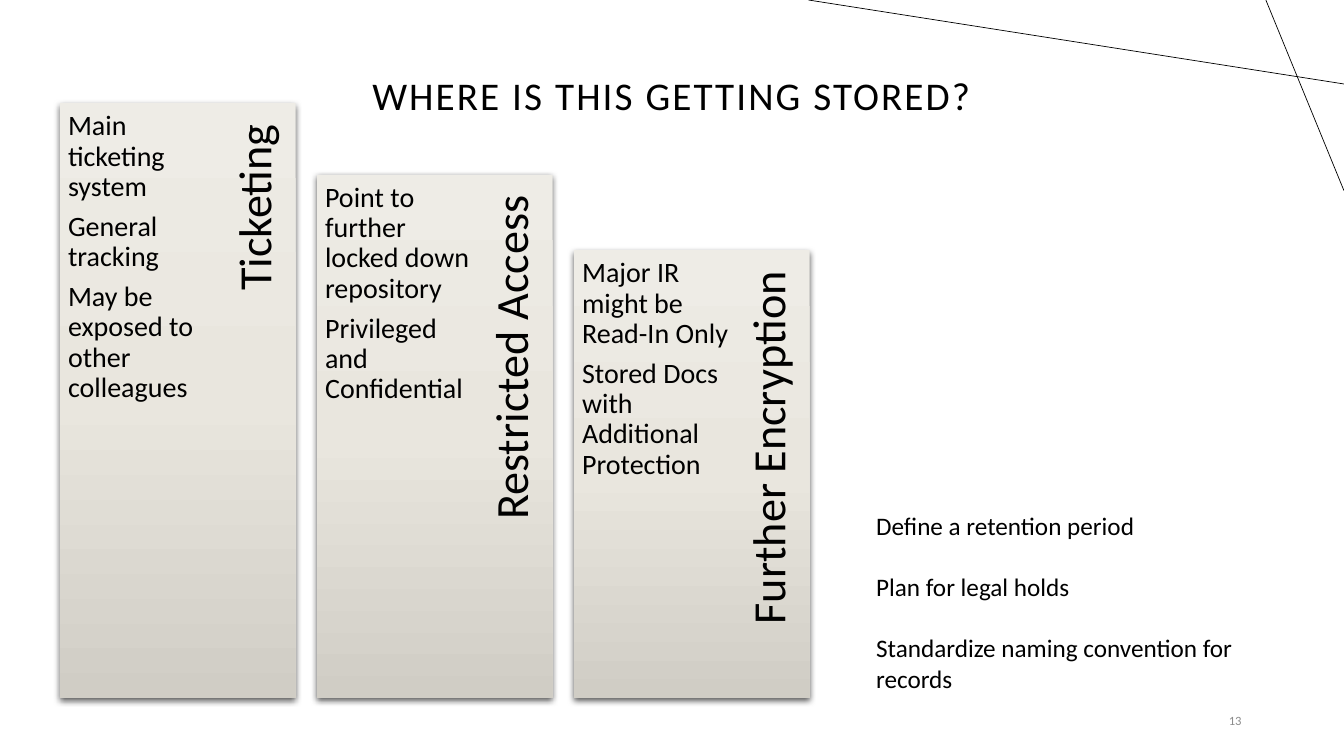
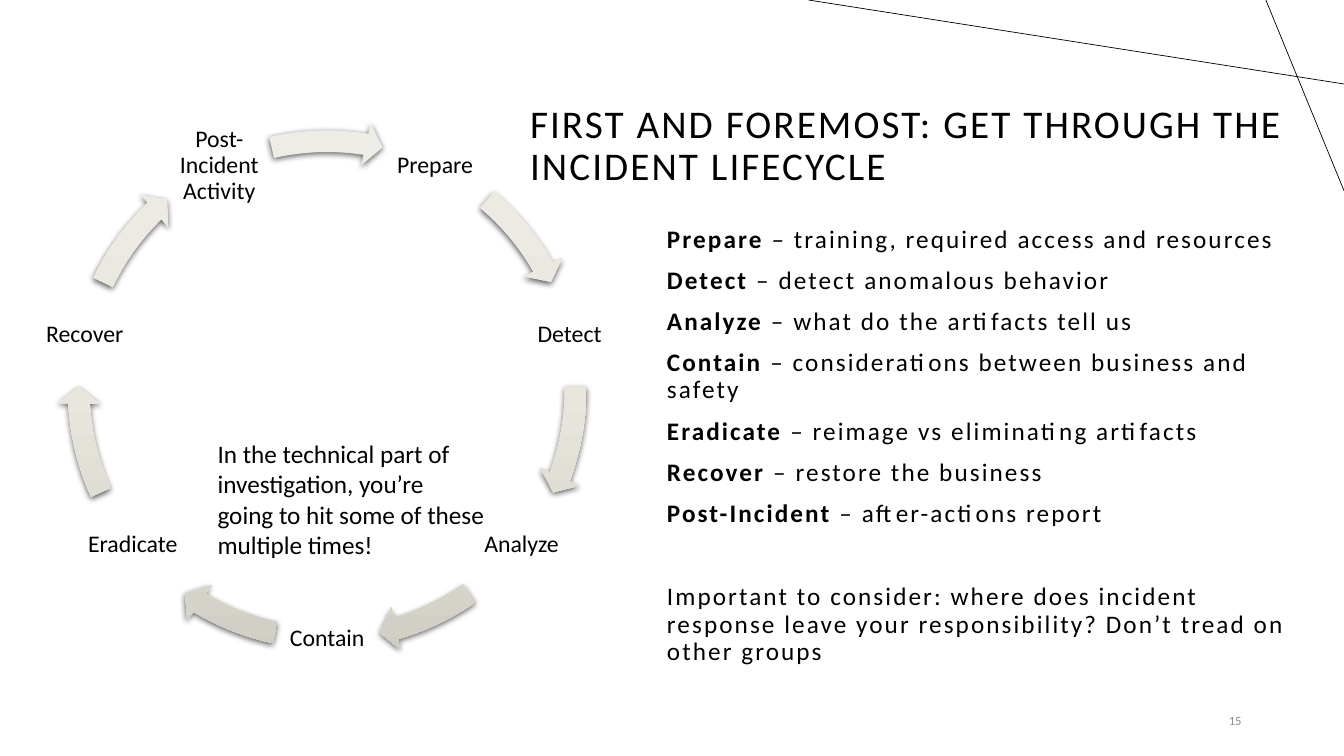
from copy import deepcopy
from dataclasses import dataclass
from math import cos, radians, sin

from lxml.etree import SubElement
from pptx import Presentation
from pptx.dml.color import RGBColor
from pptx.enum.shapes import MSO_CONNECTOR, MSO_SHAPE
from pptx.enum.text import MSO_ANCHOR, PP_ALIGN
from pptx.oxml.ns import qn
from pptx.util import Inches, Pt


@dataclass(frozen=True)
class Theme:
    font: str = "Calibri"
    ink: str = "000000"
    muted: str = "8C8C8C"
    gradient: tuple = ((0, "EEECE6"), (0.5, "E9E6DE"), (1, "D0CDC5"))
    title: int = 28
    heading: int = 33
    detail: int = 20
    body: int = 18
    label: int = 17
    number: int = 9
    tracking: int = 150
    tight: float = 0.9


theme = Theme()
prs = Presentation()
prs.slide_width, prs.slide_height = Inches(13.333), Inches(7.5)
COLS, ROWS = 160, 90
col, row = prs.slide_width / COLS, prs.slide_height / ROWS


def add_text(s, box, paras, size, align=PP_ALIGN.LEFT, anchor=MSO_ANCHOR.TOP,
             insets=(1.2, 0.6, 1.2, 0.6), spacing=1.0, gap=0, tracking=0, color=theme.ink):
    x, y, w, h = box
    sp = s.shapes.add_textbox(int(x * col), int(y * row), int(w * col), int(h * row))
    tf = sp.text_frame
    tf.word_wrap = True
    tf.vertical_anchor = anchor
    left, top, right, bottom = insets
    tf.margin_left, tf.margin_right = int(left * col), int(right * col)
    tf.margin_top, tf.margin_bottom = int(top * row), int(bottom * row)
    for i, pieces in enumerate(paras):
        p = tf.add_paragraph() if i else tf.paragraphs[0]
        p.alignment = align
        p.line_spacing = spacing
        if i:
            p.space_before = Pt(gap)
        runs = (pieces,) if isinstance(pieces, str) else pieces
        for j, words in enumerate(runs):
            r = p.add_run()
            r.text = words
            r.font.name = theme.font
            r.font.size = Pt(size)
            r.font.color.rgb = RGBColor.from_string(color)
            r.font.bold = len(runs) > 1 and j == 0
            if tracking:
                r._r.get_or_add_rPr().set("spc", str(tracking))
    return sp


def add_panel(s, preset, x, y, w, h):
    sp = s.shapes.add_shape(preset, int(x * col), int(y * row), int(w * col), int(h * row))
    sp.line.fill.background()
    sp.fill.gradient()
    sp.fill.gradient_angle = 270
    stops = sp._element.spPr.find(".//" + qn("a:gsLst"))
    stops.append(deepcopy(stops[0]))
    for stop, (position, color) in zip(sp.fill.gradient_stops, theme.gradient):
        stop.position = position
        stop.color.rgb = RGBColor.from_string(color)
    sp.shadow.inherit = False
    effects = sp._element.spPr.find(qn("a:effectLst"))
    shadow = SubElement(effects, qn("a:outerShdw"), blurRad=str(Pt(4.5)), dist=str(Pt(1.5)),
                        dir="5400000", algn="ctr", rotWithShape="0")
    black = SubElement(shadow, qn("a:srgbClr"), val=theme.ink)
    SubElement(black, qn("a:alpha"), val="63000")
    return sp


slides = []
for title, box, align, number in (
    ("WHERE IS THIS GETTING STORED?", (24.7, 3, 110.5, 17.4), PP_ALIGN.CENTER, "13"),
    ("FIRST AND FOREMOST: GET THROUGH THE INCIDENT LIFECYCLE",
     (61.9, 8.8, 94.1, 17.4), PP_ALIGN.LEFT, "15"),
):
    s = prs.slides.add_slide(prs.slide_layouts[6])
    slides.append(s)
    for x1, y1, x2, y2 in ((COLS, 10, 96.25, 0), (150.7, 0, COLS, 22.7)):
        line = s.shapes.add_connector(MSO_CONNECTOR.STRAIGHT, int(x1 * col), int(y1 * row),
                                      int(x2 * col), int(y2 * row))
        line.line.color.rgb = RGBColor.from_string(theme.ink)
        line.line.width = Pt(0.5)
        SubElement(line._element.spPr, qn("a:effectLst"))
    add_text(s, box, [title], theme.title, align, MSO_ANCHOR.MIDDLE,
             spacing=theme.tight, tracking=theme.tracking)
    add_text(s, (113, 83.4, 36, 4.8), [number], theme.number, PP_ALIGN.RIGHT,
             MSO_ANCHOR.MIDDLE, color=theme.muted)

storage, lifecycle = slides

first, pitch, width, base = 7.1, 30.6, 28.1, 83.1
heading_center, heading_height = 23.7, 7.3
for i, (top, heading, details) in enumerate((
    (12.3, "Ticketing",
     ["Main ticketing system", "General tracking", "May be exposed to other colleagues"]),
    (20.8, "Restricted Access",
     ["Point to further locked down repository", "Privileged and Confidential"]),
    (29.8, "Further Encryption",
     ["Major IR might be Read-In Only", "Stored Docs with Additional Protection"]),
)):
    left, height = first + i * pitch, base - top
    add_panel(storage, MSO_SHAPE.RECTANGLE, left, top, width, height)
    length = 0.9 * height
    box = (left + heading_center - length / 2, top + length / 2 - heading_height / 2,
           length, heading_height)
    sp = add_text(storage, box, [heading], theme.heading, PP_ALIGN.RIGHT, MSO_ANCHOR.MIDDLE,
                  (1.7, 0, 2.5, 0.6), theme.tight)
    sp.rotation = 270
    add_text(storage, (left, top, 19.9, height), details, theme.detail,
             insets=(1, 1, 1, 1), spacing=theme.tight, gap=7)

add_text(storage, (103.1, 60.2, 52.4, 23),
         ["Define a retention period", "Plan for legal holds",
          "Standardize naming convention for records"], theme.body, gap=22)

body = add_text(lifecycle, (78.2, 17.5, 77.8, 71.2), [
    ("Prepare ", "– training, required access and resources"),
    ("Detect ", "– detect anomalous behavior"),
    ("Analyze ", "– what do the artifacts tell us"),
    ("Contain ", "– considerations between business and safety"),
    ("Eradicate ", "– reimage vs eliminating artifacts"),
    ("Recover ", "– restore the business"),
    ("Post-Incident ", "– after-actions report"),
    "Important to consider: where does incident response leave your responsibility? "
    "Don’t tread on other groups",
], theme.body, anchor=MSO_ANCHOR.MIDDLE, spacing=theme.tight, gap=10, tracking=theme.tracking)
body.text_frame.paragraphs[-1].space_before = Pt(40)

stages = (
    ("Prepare", 310.1, 330.4), ("Detect", 359.3, 20.5), ("Analyze", 55.1, 73.95),
    ("Contain", 102.1, 120.9), ("Eradicate", 155.6, 176.8), ("Recover", 205.6, 226),
    ("Post-Incident Activity", 257.1, 279),
)
center_x, center_y, radius, label_side, ring = 38.95, 46.4, 29.6, 12.4, 64.3
for i, (stage, start, end) in enumerate(stages):
    angle = radians(90 + (i - 3) * 360 / len(stages))
    x = center_x + radius * cos(angle) - label_side / 2
    y = center_y + radius * sin(angle) - label_side / 2
    add_text(lifecycle, (x, y, label_side, label_side), [stage], theme.label,
             PP_ALIGN.CENTER, MSO_ANCHOR.MIDDLE, (0.2, 0.2, 0.2, 0.2), theme.tight)
    arrow = add_panel(lifecycle, MSO_SHAPE.CIRCULAR_ARROW, center_x - ring / 2,
                      center_y - ring / 2, ring, ring)
    for k, value in enumerate((0.04, 3.9 * 0.6, end * 0.6, start * 0.6, 0.04)):
        arrow.adjustments[k] = value

add_text(lifecycle, (24.7, 51.6, 34.2, 15.7),
         ["In the technical part of investigation, you’re going to hit some of these "
          "multiple times!"], theme.body)

prs.save("out.pptx")
